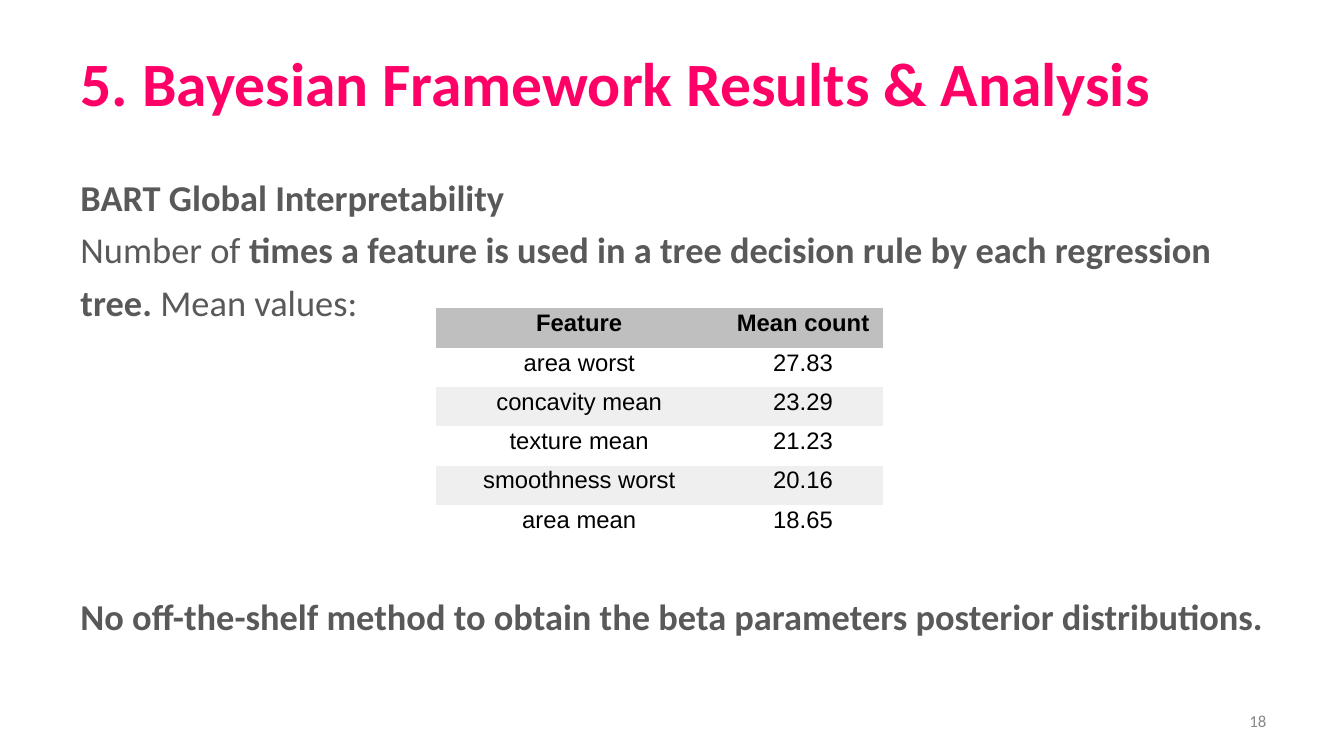
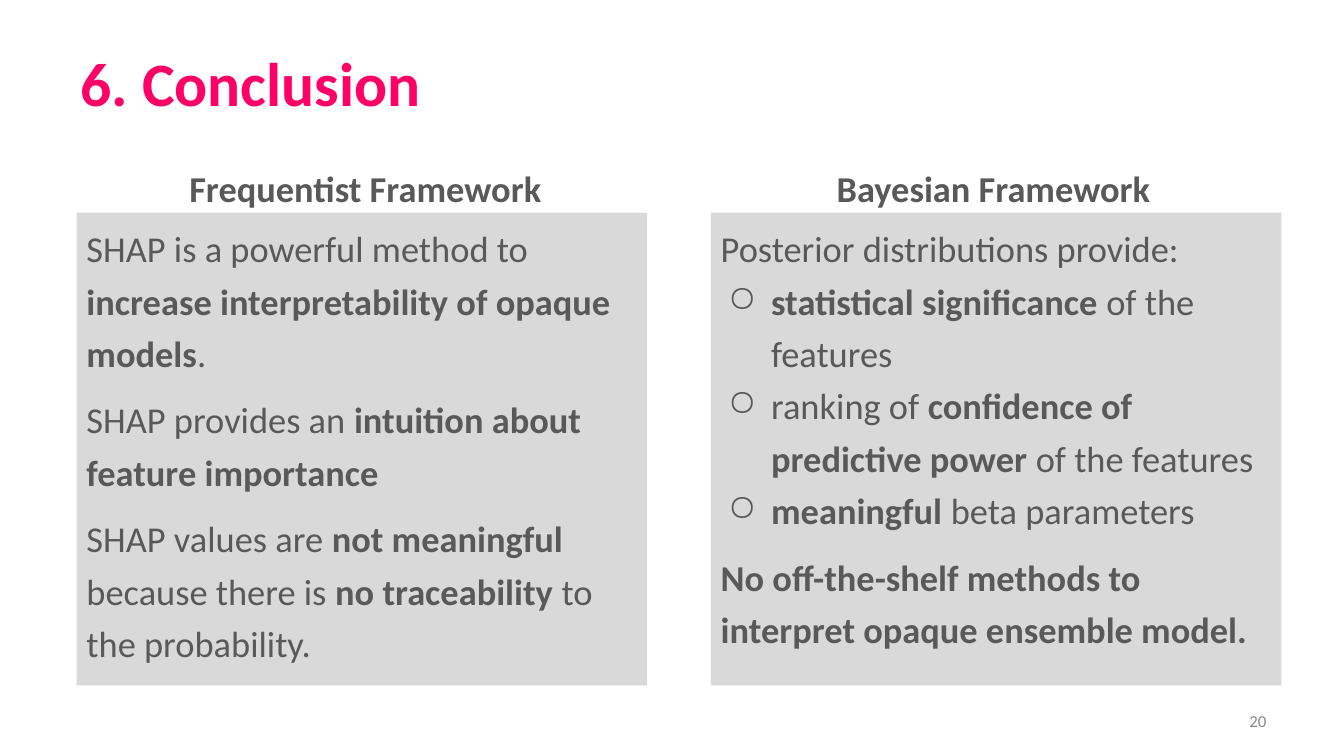
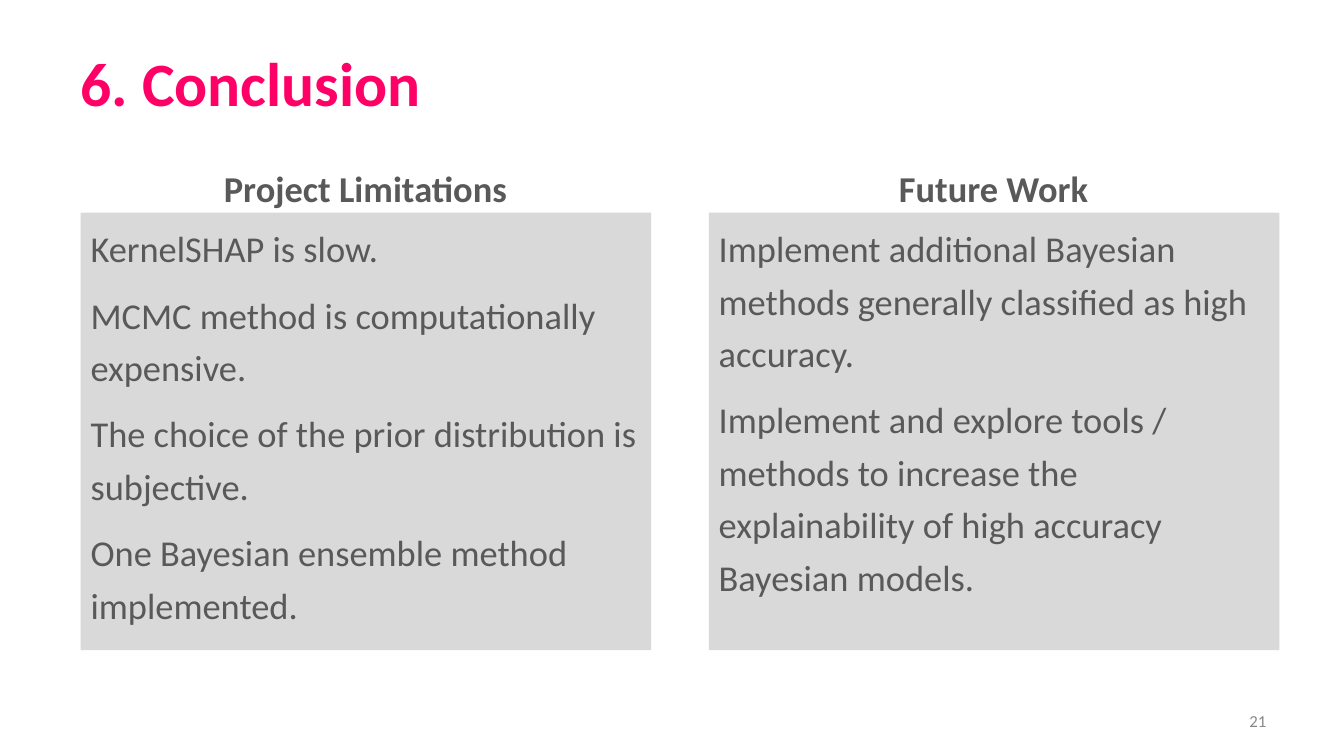
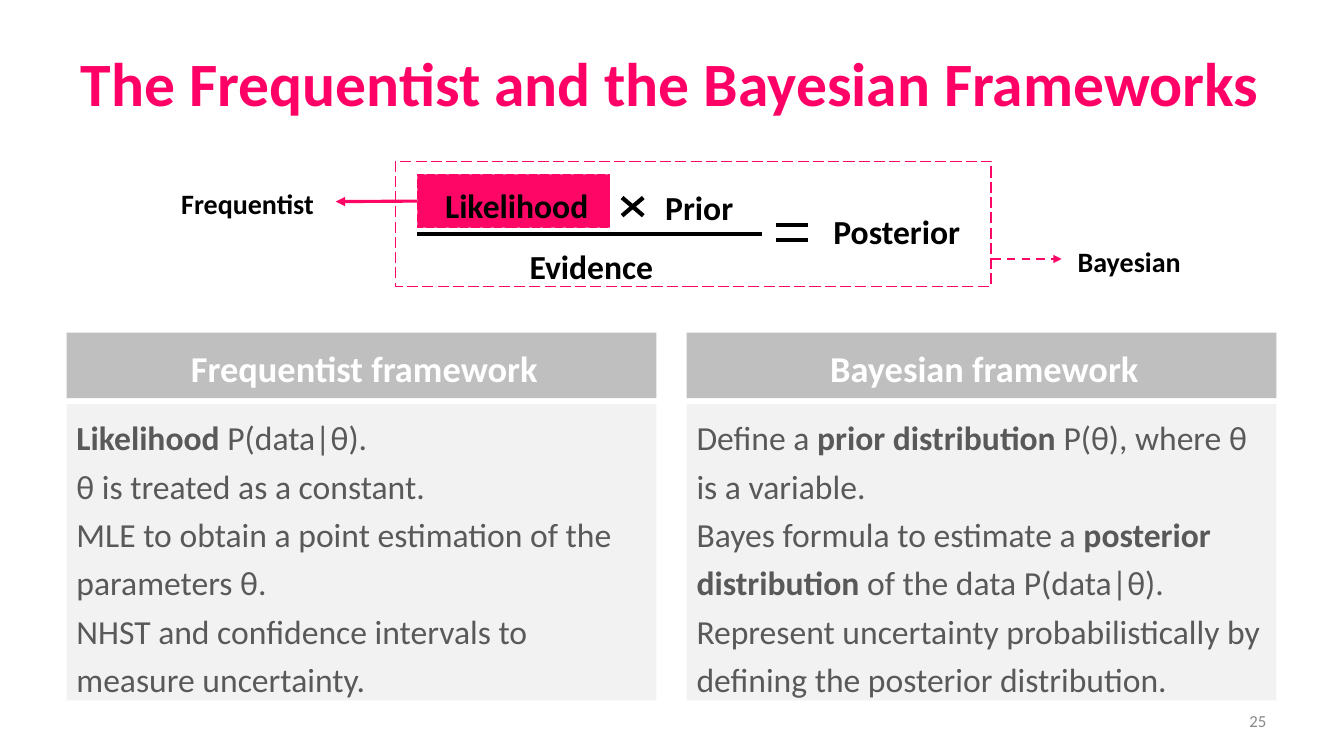
from lxml import etree
from pptx import Presentation
from pptx.dml.color import RGBColor
from pptx.enum.dml import MSO_LINE
from pptx.enum.shapes import MSO_CONNECTOR, MSO_SHAPE
from pptx.enum.text import MSO_ANCHOR, MSO_AUTO_SIZE, PP_ALIGN
from pptx.oxml.ns import qn
from pptx.util import Inches, Pt

LEFT, CENTER, RIGHT = PP_ALIGN.LEFT, PP_ALIGN.CENTER, PP_ALIGN.RIGHT
TOP, MIDDLE = MSO_ANCHOR.TOP, MSO_ANCHOR.MIDDLE
RECT, STRAIGHT = MSO_SHAPE.RECTANGLE, MSO_CONNECTOR.STRAIGHT
DASH, LONG_DASH = MSO_LINE.DASH, MSO_LINE.LONG_DASH

PINK = RGBColor(0xFF, 0x00, 0x66)
ACCENT = RGBColor(0xFE, 0x06, 0x66)
TEXT = RGBColor(0x59, 0x59, 0x59)
NUMBER = RGBColor(0x88, 0x88, 0x88)
BLACK = RGBColor(0, 0, 0)
WHITE = RGBColor(0xFF, 0xFF, 0xFF)
BAND = RGBColor(0xBF, 0xBF, 0xBF)
PANEL = RGBColor(0xD9, 0xD9, 0xD9)
PALE = RGBColor(0xF2, 0xF2, 0xF2)
STRIPE = RGBColor(0xEF, 0xEF, 0xEF)

FONT = "Calibri"
PLAIN_TABLE = "{2D5ABB26-0587-4C30-8999-92F81FD0307C}"
MARGIN, CONTENT_W = 0.7, 11.96
HEADING_LEFTS, HEADING_W = (0.75, 6.98), 5.75
PANEL_TOP, PANEL_W = 2.11, 5.66
CARD_LEFTS, CARD_W = (0.66, 6.81), 5.85
BULLET = "○ "
BULLET_INDENT = 0.43


def box(left, top, width, height):
    return [Inches(v) for v in (left, top, width, height)]


def add_runs(p, text, size, color, bold=False, font=FONT):
    """Write text into p; ** switches bold on and off."""
    for i, part in enumerate(text.split("**")):
        if part:
            r = p.add_run()
            r.text = part
            style = {"size": Pt(size), "name": font, "bold": bold or i % 2 == 1}
            for name, value in style.items():
                setattr(r.font, name, value)
            r.font.color.rgb = color


def add_bullet(p, color):
    p_pr = p._p.get_or_add_pPr()
    p_pr.set("marL", str(Inches(0.5)))
    p_pr.set("indent", str(-Inches(BULLET_INDENT)))
    clr = etree.SubElement(p_pr, qn("a:buClr"))
    etree.SubElement(clr, qn("a:srgbClr")).set("val", str(color))
    etree.SubElement(p_pr, qn("a:buChar")).set("char", BULLET.strip())


def write(sp, paragraphs, size, color=TEXT, bold=False, align=LEFT,
          anchor=TOP, spacing=1.2, gaps=(), left_indent=0):
    """Fill a shape with paragraphs; gaps lists the points before each one."""
    tf = sp.text_frame
    frame = {"word_wrap": True, "auto_size": MSO_AUTO_SIZE.NONE,
             "vertical_anchor": anchor}
    for name, value in frame.items():
        setattr(tf, name, value)
    for i, text in enumerate(paragraphs):
        p = tf.paragraphs[0] if i == 0 else tf.add_paragraph()
        p.alignment, p.line_spacing = align, spacing
        if gaps:
            p.space_before = Pt(gaps[i])
        if left_indent:
            p._p.get_or_add_pPr().set("marL", str(Inches(left_indent)))
        if text.startswith(BULLET):
            add_bullet(p, color)
        add_runs(p, text.removeprefix(BULLET), size, color, bold)


def add_text(s, at, paragraphs, size, **style):
    write(s.shapes.add_textbox(*box(*at)), paragraphs, size, **style)


def add_rect(s, at, fill=None, line=None, width=1):
    sp = s.shapes.add_shape(RECT, *box(*at))
    sp.shadow.inherit = False
    if fill is None:
        sp.fill.background()
    else:
        sp.fill.solid()
        sp.fill.fore_color.rgb = fill
    if line is None:
        sp.line.fill.background()
    else:
        sp.line.color.rgb = line
        sp.line.width = Pt(width)
        sp.line.dash_style = LONG_DASH
    return sp


def add_line(s, start, end, color=BLACK, width=3, dash=None, arrow=False):
    cx = s.shapes.add_connector(STRAIGHT, *[Inches(v) for v in (*start, *end)])
    cx.line.color.rgb = color
    cx.line.width = Pt(width)
    if dash:
        cx.line.dash_style = dash
    if arrow:
        ln = cx.line._get_or_add_ln()
        etree.SubElement(ln, qn("a:tailEnd")).set("type", "triangle")
    etree.SubElement(cx._element.spPr, qn("a:effectLst"))
    return cx


def add_slide(prs, title, number):
    s = prs.slides.add_slide(prs.slide_layouts[5])
    sp = s.shapes.title
    sp.left, sp.top, sp.width, sp.height = box(MARGIN, 0.4, CONTENT_W, 0.91)
    write(sp, [title], 44, color=PINK, bold=True, anchor=MIDDLE, spacing=0.9)
    add_text(s, (MARGIN + CONTENT_W - 3, 6.95, 3, 0.4), [str(number)], 12,
             color=NUMBER, align=RIGHT, anchor=MIDDLE, spacing=1)
    return s


def add_table(s, left, top, col_widths, row_height, rows):
    table = s.shapes.add_table(
        len(rows), len(col_widths),
        *box(left, top, sum(col_widths), row_height * len(rows))).table
    table.first_row = table.horz_banding = False
    table._tbl.tblPr.find(qn("a:tableStyleId")).text = PLAIN_TABLE
    for col, width in zip(table.columns, col_widths):
        col.width = Inches(width)
    for i, values in enumerate(rows):
        table.rows[i].height = Inches(row_height)
        fill = BAND if i == 0 else WHITE if i % 2 else STRIPE
        for cell, value in zip(table.rows[i].cells, values):
            cell.fill.solid()
            cell.fill.fore_color.rgb = fill
            cell.vertical_anchor = MIDDLE
            cell.margin_left = cell.margin_right = cell.margin_top = Inches(0.01)
            cell.margin_bottom = Inches(0.1)
            p = cell.text_frame.paragraphs[0]
            p.alignment = CENTER
            add_runs(p, value, 17, BLACK, bold=i == 0, font="Arial")


def add_panels(s, lefts, height, panels):
    """Two headed panels side by side; each is a heading and its paragraphs."""
    for heading_left, left, (heading, paragraphs) in zip(HEADING_LEFTS, lefts, panels):
        add_text(s, (heading_left, 1.51, HEADING_W, 0.52), [heading], 26,
                 bold=True, align=CENTER)
        gaps = [0 if text.startswith(BULLET) else 10 for text in paragraphs]
        write(add_rect(s, (left, PANEL_TOP, PANEL_W, height), PANEL),
              paragraphs, 26, gaps=gaps)


def add_card(s, left, heading, paragraphs):
    write(add_rect(s, (left, 4.01, CARD_W, 2.94), PALE), paragraphs, 24)
    write(add_rect(s, (left, 3.3, CARD_W, 0.65), BAND), [heading], 26,
          color=WHITE, bold=True, align=CENTER, left_indent=0.06)


def add_bayes_formula(s):
    likelihood = add_rect(s, (4.14, 1.73, 1.91, 0.53), ACCENT, ACCENT, 0.75)
    add_rect(s, (3.92, 1.6, 5.91, 1.24), line=ACCENT)
    arrow = add_line(s, (4.14, 2), (3.33, 2), ACCENT, 2.25, arrow=True)
    arrow.begin_connect(likelihood, 1)
    add_line(s, (9.84, 2.57), (10.53, 2.57), ACCENT, 1.5, DASH, arrow=True)

    fraction_bar = (4.14, 2.32), (7.56, 2.32)
    times = [((6.17, 1.96), (6.38, 2.14)), ((6.17, 2.14), (6.38, 1.96))]
    equals = [((7.7, y), (8.01, y)) for y in (2.23, 2.38)]
    for start, end in [fraction_bar, *times, *equals]:
        add_line(s, start, end)

    labels = [
        ("Likelihood", (4.19, 1.71, 1.81, 0.45), 24),
        ("Prior", (6.38, 1.73, 1.05, 0.46), 24),
        ("Evidence", (4.14, 2.31, 3.39, 0.53), 24),
        ("Posterior", (7.91, 1.96, 1.91, 0.53), 24),
        ("Frequentist", (1.52, 1.73, 1.81, 0.53), 20),
        ("Bayesian", (10.35, 2.31, 1.64, 0.53), 20),
    ]
    for text, at, size in labels:
        add_text(s, at, [text], size, color=BLACK, bold=True, align=CENTER,
                 left_indent=0.06)


def build_results(prs):
    s = add_slide(prs, "5. Bayesian Framework Results & Analysis", 18)
    add_text(s, (MARGIN, 1.6, CONTENT_W, 5.16), [
        "**BART Global Interpretability**",
        "Number of **times a feature is used in a tree decision rule by each "
        "regression tree.** Mean values:",
        "**No off-the-shelf method to obtain the beta parameters posterior "
        "distributions.**",
    ], 26, gaps=(0, 0, 187))
    add_table(s, 4.32, 3.06, (2.85, 1.59), 0.39, [
        ("Feature", "Mean count"),
        ("area worst", "27.83"),
        ("concavity mean", "23.29"),
        ("texture mean", "21.23"),
        ("smoothness worst", "20.16"),
        ("area mean", "18.65"),
    ])


def build_conclusion(prs):
    s = add_slide(prs, "6. Conclusion", 20)
    add_panels(s, (0.76, 7.05), 4.69, [
        ("Frequentist Framework", [
            "SHAP is a powerful method to **increase interpretability of "
            "opaque models**.",
            "SHAP provides an **intuition about feature importance**",
            "SHAP values are** not meaningful** because there is "
            "**no traceability** to the probability.",
        ]),
        ("Bayesian Framework", [
            "Posterior distributions provide:",
            BULLET + "**statistical significance **of the features",
            BULLET + "ranking of **confidence of predictive power** of the features",
            BULLET + "**meaningful **beta parameters",
            "**No off-the-shelf methods to interpret opaque ensemble model.**",
        ]),
    ])


def build_limitations(prs):
    s = add_slide(prs, "6. Conclusion", 21)
    add_panels(s, (0.8, 7.03), 4.34, [
        ("Project Limitations", [
            "KernelSHAP is slow.",
            "MCMC method is computationally expensive.",
            "The choice of the prior distribution is subjective.",
            "One Bayesian ensemble method implemented.",
        ]),
        ("Future Work", [
            "Implement additional Bayesian methods generally classified as "
            "high accuracy.",
            "Implement and explore tools / methods to increase the "
            "explainability of high accuracy Bayesian models.",
        ]),
    ])


def build_frameworks(prs):
    s = add_slide(prs, "The Frequentist and the Bayesian Frameworks", 25)
    add_bayes_formula(s)
    cards = [
        ("Frequentist framework", [
            "**Likelihood** P(data|θ).",
            "θ is treated as a constant.",
            "MLE to obtain a point estimation of the parameters θ.",
            "NHST and confidence intervals to measure uncertainty.",
        ]),
        ("Bayesian framework", [
            "Define a** prior distribution **P(θ), where θ is a variable.",
            "Bayes formula to estimate a **posterior distribution** of the "
            "data P(data|θ).",
            "Represent uncertainty probabilistically by defining the "
            "posterior distribution.",
        ]),
    ]
    for left, (heading, paragraphs) in zip(CARD_LEFTS, cards):
        add_card(s, left, heading, paragraphs)


def main():
    prs = Presentation()
    prs.slide_width, prs.slide_height = Inches(13.33), Inches(7.5)
    build_results(prs)
    build_conclusion(prs)
    build_limitations(prs)
    build_frameworks(prs)
    prs.save("out.pptx")


if __name__ == "__main__":
    main()
